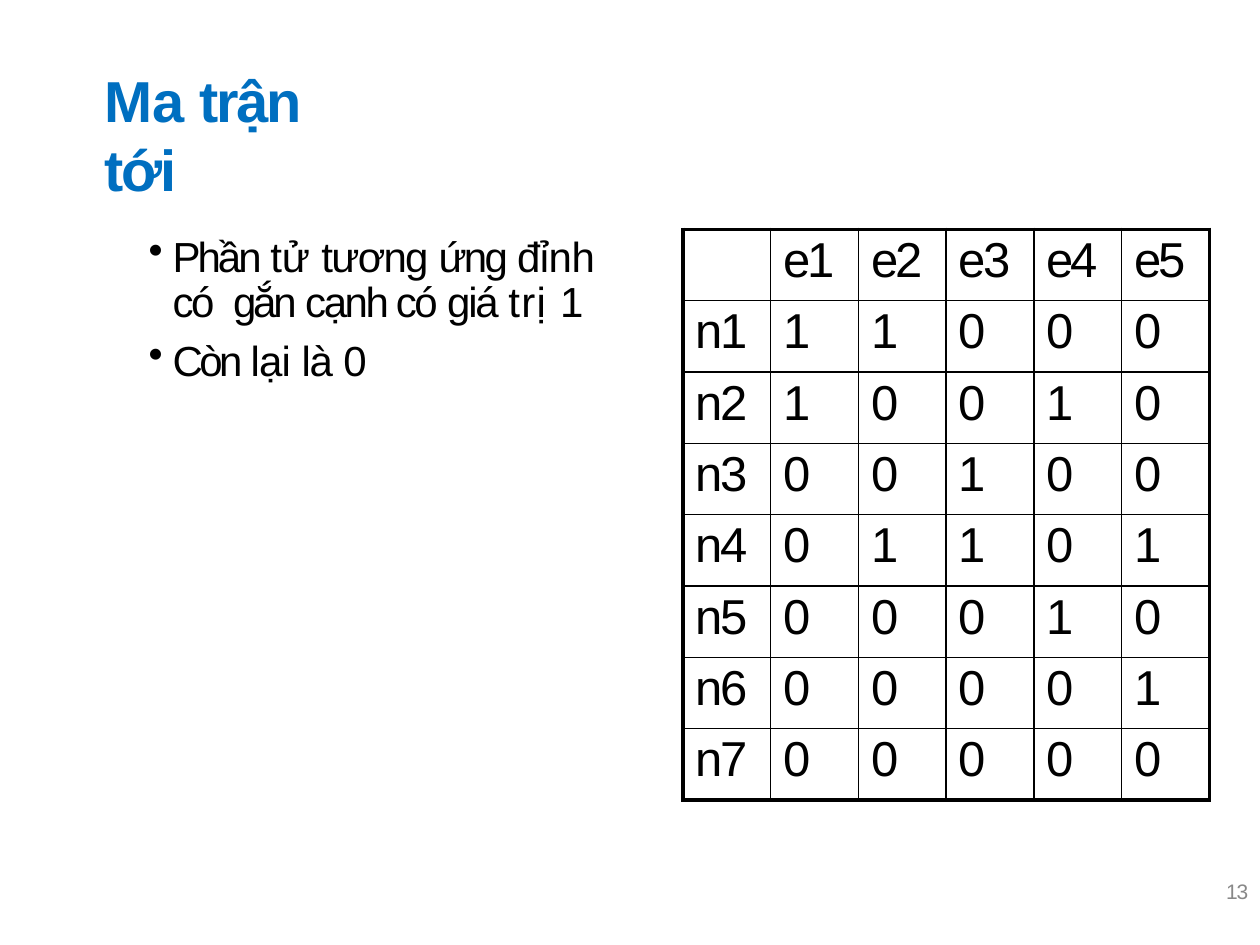
from lxml.etree import SubElement
from pptx import Presentation
from pptx.dml.color import RGBColor
from pptx.enum.text import MSO_ANCHOR, MSO_AUTO_SIZE, PP_ALIGN
from pptx.oxml import parse_xml
from pptx.oxml.ns import nsdecls, qn
from pptx.util import Inches, Pt

BLUE, BLACK, GRAY = "006FC0", "000000", "888888"


def color(hex_text):
    return RGBColor.from_string(hex_text)


class SlideBuilder:
    font_name = "Arial"
    thin, thick = 1, 2.25

    def __init__(self, slide):
        self.slide = slide

    def fill_paragraph(self, paragraph, runs, size, hex_text, indent=0, first=0,
                       bold=False, bullet=None, **spacing):
        """Write (text, letter spacing) runs with one paragraph format."""
        for name, value in {"alignment": PP_ALIGN.LEFT, **spacing}.items():
            setattr(paragraph, name, value)
        properties = paragraph._p.get_or_add_pPr()
        properties.set("marL", str(Inches(indent)))
        properties.set("indent", str(Inches(first)))
        if bullet:
            SubElement(properties, qn("a:buChar"), char=bullet)
        for text, letter_spacing in runs:
            run = paragraph.add_run()
            run.text = text
            font_format = {"name": self.font_name, "size": Pt(size), "bold": bold}
            for name, value in font_format.items():
                setattr(run.font, name, value)
            run.font.color.rgb = color(hex_text)
            run._r.get_or_add_rPr().set("spc", str(round(letter_spacing * 100)))

    def set_frame(self, frame, top_inset=0):
        frame_format = {
            "margin_left": 0, "margin_right": 0, "margin_bottom": 0,
            "margin_top": Inches(top_inset), "word_wrap": True,
            "vertical_anchor": MSO_ANCHOR.TOP,
            "auto_size": MSO_AUTO_SIZE.SHAPE_TO_FIT_TEXT,
        }
        for name, value in frame_format.items():
            setattr(frame, name, value)

    def title(self, box, runs):
        heading = self.slide.shapes.title
        for name, value in zip(("left", "top", "width", "height"), box):
            setattr(heading, name, Inches(value))
        self.set_frame(heading.text_frame, 0.02)
        self.fill_paragraph(heading.text_frame.paragraphs[0], runs, 33, BLUE,
                            indent=0.01, bold=True, space_before=Pt(1.1))

    def text(self, box, paragraphs, top_inset=0):
        frame = self.slide.shapes.add_textbox(*map(Inches, box)).text_frame
        self.set_frame(frame, top_inset)
        for index, paragraph_format in enumerate(paragraphs):
            paragraph = frame.add_paragraph() if index else frame.paragraphs[0]
            self.fill_paragraph(paragraph, **paragraph_format)

    def set_borders(self, cell, widths):
        properties = cell._tc.get_or_add_tcPr()
        for index, (side, width) in enumerate(widths.items()):
            properties.insert(index, parse_xml(
                f'<a:ln{side} {nsdecls("a")} w="{Pt(width)}"><a:solidFill>'
                f'<a:srgbClr val="{BLACK}"/></a:solidFill></a:ln{side}>'))

    def matrix(self, box, rows):
        row_count, column_count = len(rows), len(rows[0])
        table = self.slide.shapes.add_table(
            row_count, column_count, *map(Inches, box)).table
        table.first_row = table.horz_banding = False
        cell_format = {"margin_left": 0, "margin_right": 0,
                       "margin_top": Inches(0.03), "margin_bottom": 0}
        for r, row in enumerate(rows):
            for c, value in enumerate(row):
                cell = table.cell(r, c)
                for name, setting in cell_format.items():
                    setattr(cell, name, setting)
                cell.fill.background()
                outer = {"L": c == 0, "R": c == column_count - 1,
                         "T": r == 0, "B": r == row_count - 1}
                self.set_borders(cell, {side: self.thick if edge else self.thin
                                        for side, edge in outer.items()})
                letter_spacing = -1.6 if r == 0 else -1.2 if c == 0 else 0
                runs = [(value, letter_spacing)] if value else []
                self.fill_paragraph(cell.text_frame.paragraphs[0], runs, 28, BLACK,
                                    indent=0.1, space_before=Pt(1.9))


def main():
    presentation = Presentation()
    presentation.slide_width, presentation.slide_height = Inches(10), Inches(7.5)
    title_only = presentation.slide_layouts[5]
    builder = SlideBuilder(presentation.slides.add_slide(title_only))

    # Slide number
    builder.text((9.69, 7, 0.25, 0.19), [
        {"runs": [("13", -0.6)], "size": 12, "hex_text": GRAY, "indent": 0.04,
         "line_spacing": Pt(12.4)}])

    # Title
    builder.title((0.82, 0.49, 2.21, 0.58),
                  [("Ma ", -0.3), ("trận ", -1.4), ("tới", -1.1)])

    # Rules for the matrix entries
    bullet_format = {"size": 24, "hex_text": BLACK, "indent": 0.2,
                     "first": -0.19, "bullet": "•"}
    one_rule = [("Phần ", -1.7), ("tử ", -0.1), ("tương ", -1), ("ứng ", -1.5),
                ("đỉnh ", -0.3), ("có  ", -1.4), ("gắn ", -1.8),
                ("cạnh có ", -1.4), ("giá ", -1.2), ("trị ", 0.7), ("1", -1.2)]
    zero_rule = [("Còn ", -2), ("lại ", -0.5), ("là ", -0.8), ("0", -1.2)]
    builder.text((1.17, 1.81, 3.87, 1.26), [
        {"runs": one_rule, "line_spacing": Pt(25.9), "space_before": Pt(4.2),
         **bullet_format},
        {"runs": zero_rule, "space_before": Pt(4.8), **bullet_format}], 0.06)

    # Incidence matrix: nodes by edges
    incidence = ["11000", "10010", "00100", "01101", "00010", "00001", "00000"]
    header = [""] + [f"e{edge}" for edge in range(1, 6)]
    node_rows = [[f"n{node}", *entries]
                 for node, entries in enumerate(incidence, start=1)]
    builder.matrix((5.42, 1.82, 4.18, 4.53), [header, *node_rows])

    presentation.save("out.pptx")


if __name__ == "__main__":
    main()
